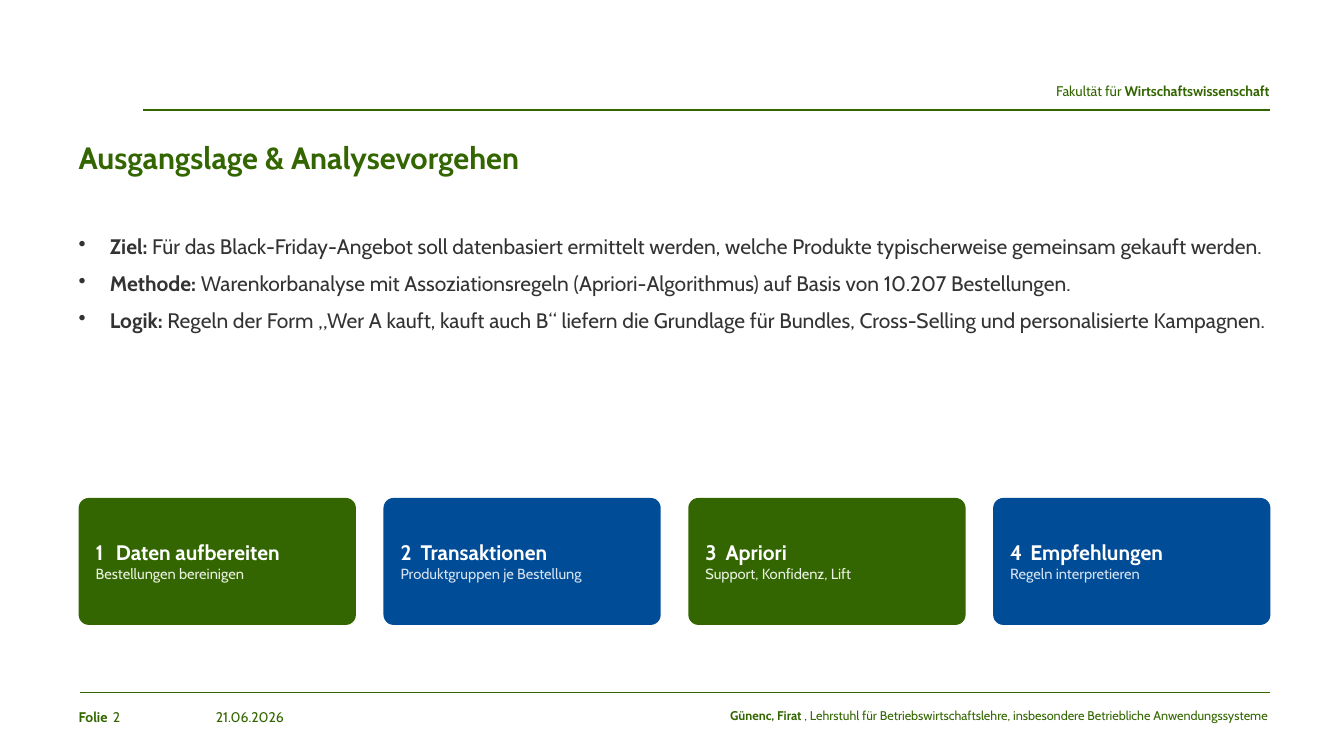
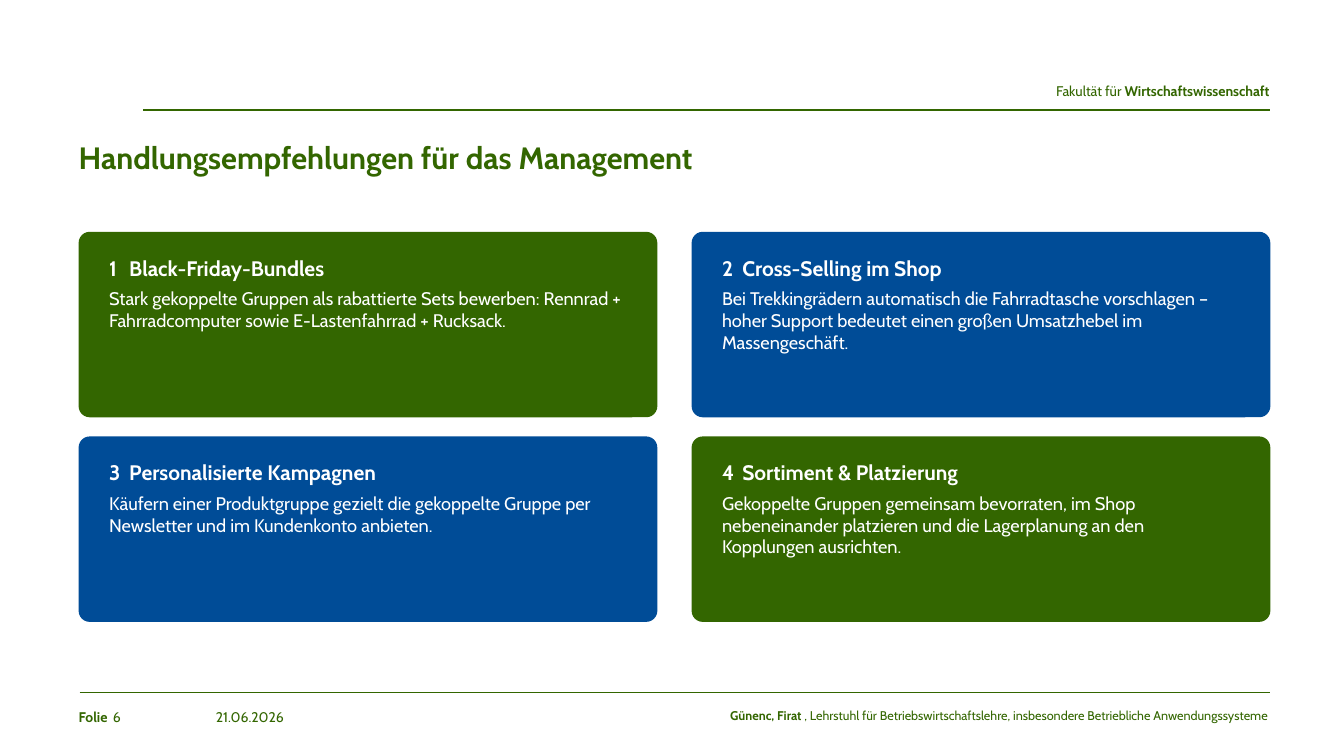
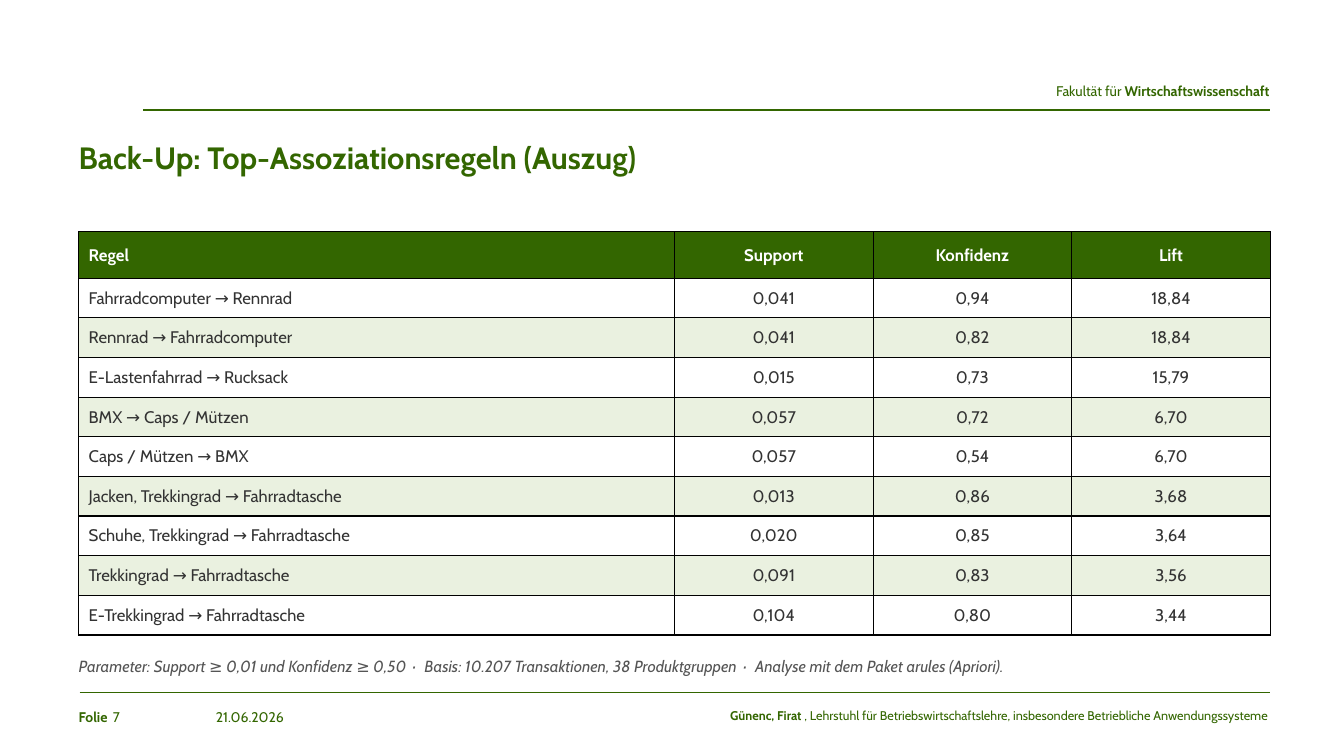
from lxml import etree
from pptx import Presentation
from pptx.dml.color import RGBColor
from pptx.enum.shapes import MSO_CONNECTOR, MSO_SHAPE
from pptx.enum.text import MSO_ANCHOR, PP_ALIGN
from pptx.oxml.ns import qn
from pptx.util import Inches, Pt

LEFT, CENTER, RIGHT = PP_ALIGN.LEFT, PP_ALIGN.CENTER, PP_ALIGN.RIGHT
TOP, MIDDLE = MSO_ANCHOR.TOP, MSO_ANCHOR.MIDDLE
STRAIGHT, ROUNDED = MSO_CONNECTOR.STRAIGHT, MSO_SHAPE.ROUNDED_RECTANGLE

FONT = "Cabin"
COLORS = {
    "green": "336600", "blue": "004C97", "white": "FFFFFF", "black": "000000",
    "text": "333333", "note": "555555",
    "pale_green": "EAF1E0", "pale_blue": "D6E2F0",
}
PALE = {"green": "pale_green", "blue": "pale_blue"}

# Content area
X, Y, W = 0.78, 2.3, 11.82
RIGHT_EDGE = X + W

GOALS = [
    ("Ziel: ", "Für das Black-Friday-Angebot soll datenbasiert ermittelt werden, "
     "welche Produkte typischerweise gemeinsam gekauft werden."),
    ("Methode: ", "Warenkorbanalyse mit Assoziationsregeln (Apriori-Algorithmus) "
     "auf Basis von 10.207 Bestellungen."),
    ("Logik: ", "Regeln der Form „Wer A kauft, kauft auch B“ liefern die Grundlage "
     "für Bundles, Cross-Selling und personalisierte Kampagnen."),
]
STEPS = [
    ("Daten aufbereiten", "Bestellungen bereinigen", "green"),
    ("Transaktionen", "Produktgruppen je Bestellung", "blue"),
    ("Apriori", "Support, Konfidenz, Lift", "green"),
    ("Empfehlungen", "Regeln interpretieren", "blue"),
]
ACTIONS = [
    ("Black-Friday-Bundles", "Stark gekoppelte Gruppen als rabattierte Sets bewerben: "
     "Rennrad + Fahrradcomputer sowie E-Lastenfahrrad + Rucksack.", "green"),
    ("Cross-Selling im Shop", "Bei Trekkingrädern automatisch die Fahrradtasche "
     "vorschlagen – hoher Support bedeutet einen großen Umsatzhebel im "
     "Massengeschäft.", "blue"),
    ("Personalisierte Kampagnen", "Käufern einer Produktgruppe gezielt die gekoppelte "
     "Gruppe per Newsletter und im Kundenkonto anbieten.", "blue"),
    ("Sortiment & Platzierung", "Gekoppelte Gruppen gemeinsam bevorraten, im Shop "
     "nebeneinander platzieren und die Lagerplanung an den Kopplungen ausrichten.",
     "green"),
]
RULES = [
    ("Regel", "Support", "Konfidenz", "Lift"),
    ("Fahrradcomputer → Rennrad", "0,041", "0,94", "18,84"),
    ("Rennrad → Fahrradcomputer", "0,041", "0,82", "18,84"),
    ("E-Lastenfahrrad → Rucksack", "0,015", "0,73", "15,79"),
    ("BMX → Caps / Mützen", "0,057", "0,72", "6,70"),
    ("Caps / Mützen → BMX", "0,057", "0,54", "6,70"),
    ("Jacken, Trekkingrad → Fahrradtasche", "0,013", "0,86", "3,68"),
    ("Schuhe, Trekkingrad → Fahrradtasche", "0,020", "0,85", "3,64"),
    ("Trekkingrad → Fahrradtasche", "0,091", "0,83", "3,56"),
    ("E-Trekkingrad → Fahrradtasche", "0,104", "0,80", "3,44"),
]


def rgb(name):
    return RGBColor.from_string(COLORS[name])


# Text
def write(p, text, size=10, color="green", bold=False, italic=False):
    r = p.add_run()
    r.text = text
    f = r.font
    f.name, f.size, f.bold, f.italic = FONT, Pt(size), bold, italic
    f.color.rgb = rgb(color)


def set_tabs(p, stops):
    tabs = etree.SubElement(p._p.get_or_add_pPr(), qn("a:tabLst"))
    for stop in stops:
        etree.SubElement(tabs, qn("a:tab"), pos=str(Inches(stop)), algn="l")


def set_bullet(p, indent):
    pPr = p._p.get_or_add_pPr()
    pPr.set("marL", str(Inches(indent)))
    pPr.set("indent", str(-Inches(indent)))
    etree.SubElement(pPr, qn("a:buChar"), char="•")


def set_frame(tf, anchor=TOP, inset_x=0, inset_y=0):
    tf.word_wrap = True
    tf.vertical_anchor = anchor
    tf.margin_left = tf.margin_right = Inches(inset_x)
    tf.margin_top = tf.margin_bottom = Inches(inset_y)


def add_box(s, x, y, w, h, align=LEFT):
    tf = s.shapes.add_textbox(Inches(x), Inches(y), Inches(w), Inches(h)).text_frame
    set_frame(tf)
    tf.paragraphs[0].alignment = align
    return tf


def add_label(s, x, y, w, h, text, **fmt):
    write(add_box(s, x, y, w, h).paragraphs[0], text, **fmt)


# Shapes
def add_rule(s, x, y):
    line = s.shapes.add_connector(STRAIGHT, Inches(x), Inches(y),
                                  Inches(RIGHT_EDGE), Inches(y))
    line.line.color.rgb = rgb("green")
    line.line.width = Pt(1)
    etree.SubElement(line._element.spPr, qn("a:effectLst"))


def add_card(s, x, y, w, h, number, heading, body, fill, radius, frame,
             body_size, body_color="white", gap=0):
    sp = s.shapes.add_shape(ROUNDED, Inches(x), Inches(y), Inches(w), Inches(h))
    sp.shadow.inherit = False
    sp.adjustments[0] = radius
    sp.fill.solid()
    sp.fill.fore_color.rgb = rgb(fill)
    sp.line.fill.background()
    tf = sp.text_frame
    set_frame(tf, *frame)
    p = tf.paragraphs[0]
    p.alignment = LEFT
    set_tabs(p, [0.2])
    write(p, f"{number}\t{heading}", size=15, color="white", bold=True)
    p = tf.add_paragraph()
    p.alignment = LEFT
    p.space_before = Pt(gap)
    write(p, body, size=body_size, color=body_color)


# Table
def style_cell(cell, text, fill, align, **fmt):
    cell.fill.solid()
    cell.fill.fore_color.rgb = rgb(fill)
    cell.vertical_anchor = MIDDLE
    p = cell.text_frame.paragraphs[0]
    p.alignment = align
    write(p, text, size=12, **fmt)
    tcPr = cell._tc.get_or_add_tcPr()
    for i, side in enumerate(("lnL", "lnR", "lnT", "lnB")):
        ln = etree.Element(qn(f"a:{side}"), w=str(Pt(1)))
        solid = etree.SubElement(ln, qn("a:solidFill"))
        etree.SubElement(solid, qn("a:srgbClr"), val=COLORS["black"])
        tcPr.insert(i, ln)


def add_rules_table(s, rows, height=4, head=0.46):
    table = s.shapes.add_table(len(rows), len(rows[0]), Inches(X), Inches(Y),
                               Inches(W), Inches(height)).table
    table.first_row = table.horz_banding = False
    for c, column in enumerate(table.columns):
        column.width = Inches(W / 6 if c else W / 2)
    for r, values in enumerate(rows):
        table.rows[r].height = Inches((height - head) / (len(rows) - 1) if r else head)
        if r:
            fill, fmt = ("white" if r % 2 else "pale_green"), {"color": "text"}
        else:
            fill, fmt = "green", {"color": "white", "bold": True}
        for c, value in enumerate(values):
            style_cell(table.cell(r, c), value, fill, CENTER if c else LEFT, **fmt)


# Shared header, title and footer
def new_slide(prs, title, number):
    s = prs.slides.add_slide(prs.slide_layouts[6])
    add_rule(s, 1.42, 1.09)
    add_rule(s, 0.79, 6.87)
    p = add_box(s, 7.6, 0.82, 4.99, 0.24, RIGHT).paragraphs[0]
    write(p, "Fakultät für ")
    write(p, "Wirtschaftswissenschaft", bold=True)
    add_label(s, X, 7.03, 0.34, 0.26, "Folie", bold=True)
    add_label(s, 1.12, 7.03, 0.47, 0.26, str(number))
    add_label(s, 2.14, 7.03, 1.35, 0.28, "21.06.2026")
    p = add_box(s, 3.94, 7.02, 8.63, 0.24, RIGHT).paragraphs[0]
    write(p, "Günenc, Firat ", size=9, bold=True)
    write(p, ", Lehrstuhl für Betriebswirtschaftslehre, insbesondere "
             "Betriebliche Anwendungssysteme", size=9)
    add_label(s, X, 1.38, W, 0.71, title, size=22, bold=True)
    return s


# Slides
def approach_slide(prs):
    s = new_slide(prs, "Ausgangslage & Analysevorgehen", 2)
    tf = add_box(s, X, Y, W, 2.24)
    for i, (term, text) in enumerate(GOALS):
        p = tf.add_paragraph() if i else tf.paragraphs[0]
        p.line_spacing = 1.08
        p.space_after = Pt(7)
        set_bullet(p, 0.31)
        write(p, term, size=15, color="text", bold=True)
        write(p, text, size=15, color="text")
    w = 2.75
    pitch = (W - w) / (len(STEPS) - 1)
    for i, (heading, body, fill) in enumerate(STEPS):
        add_card(s, X + i * pitch, 4.94, w, 1.26, i + 1, heading, body, fill,
                 radius=0.08, frame=(MIDDLE, 0.14, 0.09), body_size=10.5,
                 body_color=PALE[fill])


def actions_slide(prs):
    s = new_slide(prs, "Handlungsempfehlungen für das Management", 6)
    w, h, gap_y = 5.74, 1.84, 0.19
    for i, (heading, body, fill) in enumerate(ACTIONS):
        row, col = divmod(i, 2)
        add_card(s, X + col * (W - w), Y + row * (h + gap_y), w, h, i + 1,
                 heading, body, fill, radius=0.06, frame=(TOP, 0.27, 0.2),
                 body_size=13, gap=5)


def rules_slide(prs):
    s = new_slide(prs, "Back-Up: Top-Assoziationsregeln (Auszug)", 7)
    add_rules_table(s, RULES)
    p = add_box(s, X, 6.51, W, 0.3).paragraphs[0]
    set_tabs(p, [3.31, 3.43, 6.59, 6.71])
    write(p, "Parameter: Support ≥ 0,01 und Konfidenz ≥ 0,50\t·\tBasis: 10.207 "
             "Transaktionen, 38 Produktgruppen\t·\tAnalyse mit dem Paket arules "
             "(Apriori).", size=11.5, color="note", italic=True)


def main():
    prs = Presentation()
    prs.slide_width, prs.slide_height = Inches(13.33), Inches(7.5)
    approach_slide(prs)
    actions_slide(prs)
    rules_slide(prs)
    prs.save("out.pptx")


if __name__ == "__main__":
    main()
